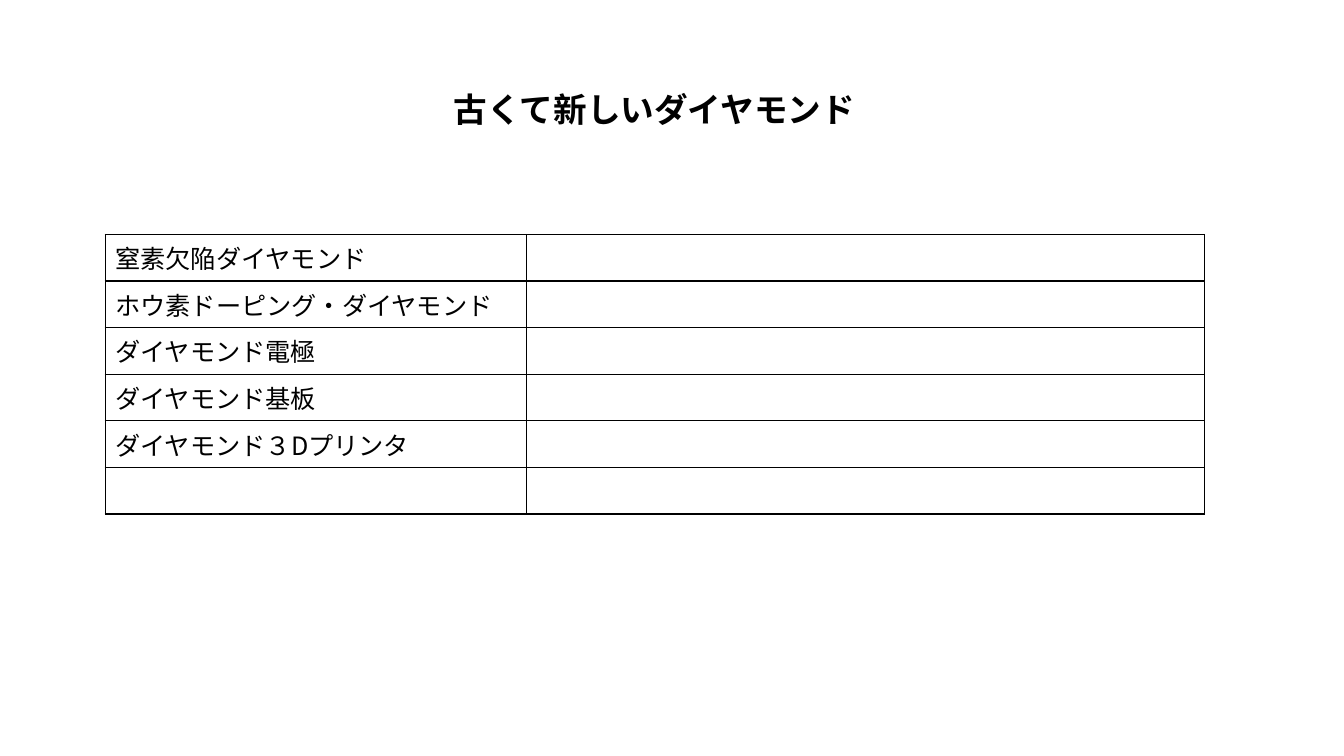
from lxml.etree import SubElement
from pptx import Presentation
from pptx.dml.color import RGBColor
from pptx.enum.text import MSO_ANCHOR, MSO_AUTO_SIZE, PP_ALIGN
from pptx.oxml.ns import qn
from pptx.util import Pt

FONT = "Noto Sans CJK JP"
BLACK = "000000"


def style_run(run, size, color, bold=False):
    run.font.size = Pt(size)
    run.font.bold = bold
    run.font.name = FONT
    run.font.color.rgb = RGBColor.from_string(color)
    SubElement(run.font._element, qn("a:ea"), typeface=FONT)


def add_borders(cell, color):
    properties = cell._tc.get_or_add_tcPr()
    for side in ("lnL", "lnR", "lnT", "lnB"):
        border = SubElement(properties, qn(f"a:{side}"), w=str(Pt(1)))
        fill = SubElement(border, qn("a:solidFill"))
        SubElement(fill, qn("a:srgbClr"), val=color)


prs = Presentation()
prs.slide_width, prs.slide_height = Pt(960), Pt(540)
slide = prs.slides.add_slide(prs.slide_layouts[5])

# Title
title = slide.shapes.title
title.left, title.top, title.width, title.height = Pt(316.8), Pt(60), Pt(326), Pt(36)
heading = title.text_frame
heading.text = "古くて新しいダイヤモンド"
heading.word_wrap = True
heading.auto_size = MSO_AUTO_SIZE.SHAPE_TO_FIT_TEXT
heading.vertical_anchor = MSO_ANCHOR.TOP
heading.paragraphs[0].alignment = PP_ALIGN.LEFT
style_run(heading.paragraphs[0].runs[0], 24, BLACK, bold=True)

# Table of diamond technologies, with room for notes on the right
technologies = [
    "窒素欠陥ダイヤモンド",
    "ホウ素ドーピング・ダイヤモンド",
    "ダイヤモンド電極",
    "ダイヤモンド基板",
    "ダイヤモンド３Dプリンタ",
    "",
]
row_height = 33.3
table = slide.shapes.add_table(
    len(technologies), 2, Pt(75.2), Pt(167.5), Pt(785), Pt(row_height * len(technologies))
).table
table.first_row = False
table.horz_banding = False
table.columns[0].width = Pt(301)
table.columns[1].width = Pt(484)

for row, technology in zip(table.rows, technologies):
    row.height = Pt(row_height)
    for cell in row.cells:
        add_borders(cell, BLACK)
        cell.fill.background()
    name = row.cells[0].text_frame
    name.text = technology
    for run in name.paragraphs[0].runs:
        style_run(run, 18, BLACK)

prs.save("out.pptx")
